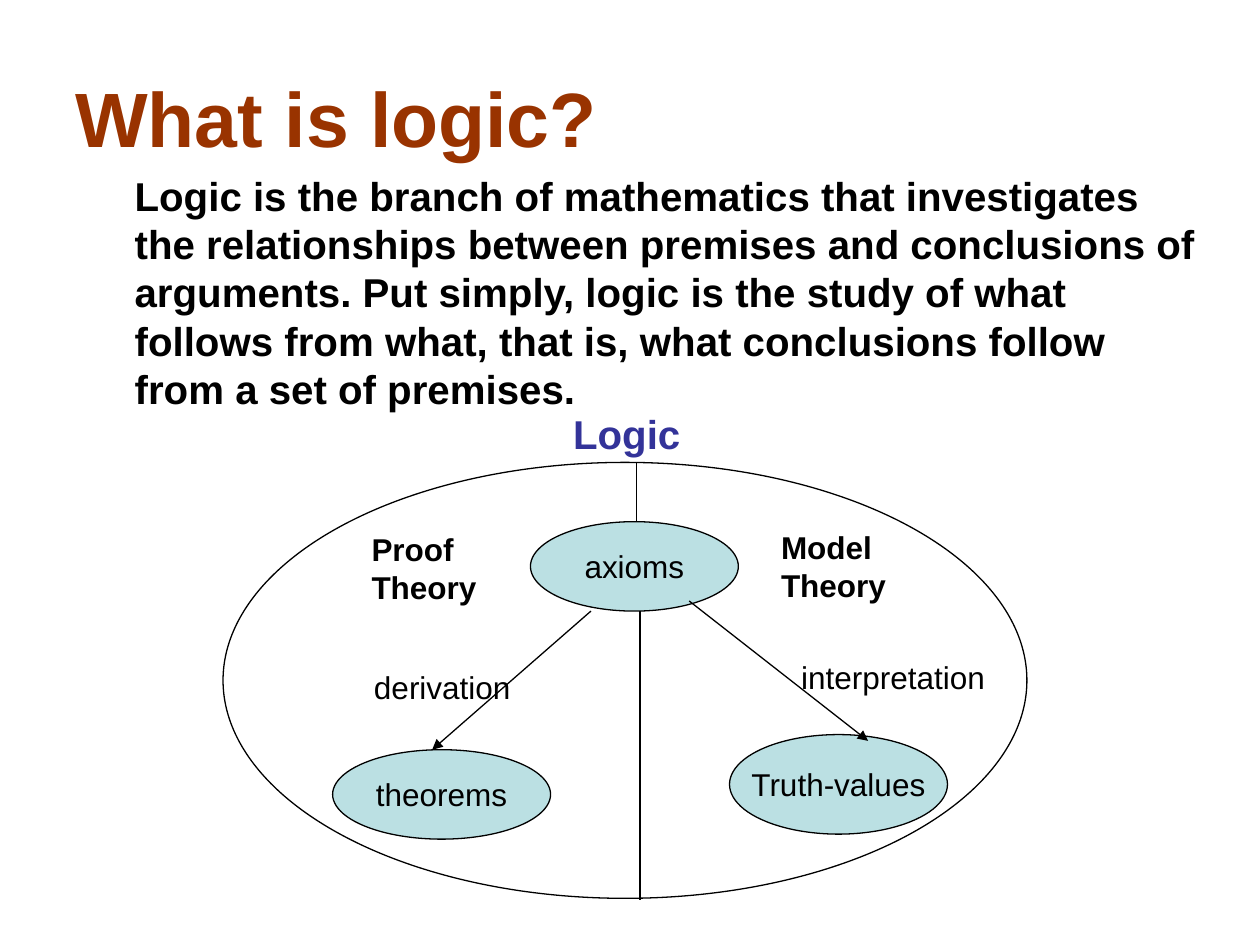
import dataclasses
import typing

import pptx
import pptx.dml.color
import pptx.enum.shapes
import pptx.enum.text
import pptx.oxml.ns
import pptx.util

Inches = pptx.util.Inches
Pt = pptx.util.Pt
Box = typing.Tuple[float, float, float, float]
Spot = typing.Tuple[float, float]

HUES = {
    "ink": "000000",
    "paper": "FFFFFF",
    "rust": "993300",
    "navy": "333399",
    "aqua": "BBE0E3",
}


@dataclasses.dataclass
class Oval:
    box: Box
    fill: str = "aqua"
    text: str = ""


@dataclasses.dataclass
class Label:
    box: Box
    text: str
    form: dict = dataclasses.field(default_factory=dict)


@dataclasses.dataclass
class Link:
    start: Spot
    end: Spot
    arrow: bool = False


def color(name: str) -> pptx.dml.color.RGBColor:
    return pptx.dml.color.RGBColor.from_string(HUES[name])


def write(shape, text: str, *, size: float = 18, hue: str = "ink",
          bold: bool = False, wrap: bool = False, grow: bool = False,
          center: bool = False, middle: bool = False,
          indent: float = 0, before: float = 0) -> None:
    frame = shape.text_frame
    frame.word_wrap = wrap
    fit = pptx.enum.text.MSO_AUTO_SIZE
    frame.auto_size = fit.SHAPE_TO_FIT_TEXT if grow else fit.NONE
    anchor = pptx.enum.text.MSO_ANCHOR
    frame.vertical_anchor = anchor.MIDDLE if middle else anchor.TOP
    frame.text = text
    align = pptx.enum.text.PP_ALIGN
    for para in frame.paragraphs:
        para.alignment = align.CENTER if center else align.LEFT
        para.space_before = Pt(before)
        if indent:
            para._p.get_or_add_pPr().set("marL", str(Inches(indent)))
        font = para.runs[0].font
        font.name = "Arial"
        font.size = Pt(size)
        font.bold = bold
        font.color.rgb = color(hue)


def trace(line) -> None:
    line.color.rgb = color("ink")
    line.width = Pt(0.75)


def attach(parent, tag: str, **attrs: str) -> None:
    parent.append(parent.makeelement(pptx.oxml.ns.qn(tag), attrs))


def draw_oval(slide, oval: Oval) -> None:
    kind = pptx.enum.shapes.MSO_SHAPE.OVAL
    shape = slide.shapes.add_shape(kind, *map(Inches, oval.box))
    shape.shadow.inherit = False
    shape.fill.solid()
    shape.fill.fore_color.rgb = color(oval.fill)
    trace(shape.line)
    if oval.text:
        write(shape, oval.text, center=True, middle=True)


def draw_label(slide, label: Label) -> None:
    shape = slide.shapes.add_textbox(*map(Inches, label.box))
    write(shape, label.text, **label.form)


def draw_link(slide, link: Link) -> None:
    kind = pptx.enum.shapes.MSO_CONNECTOR.STRAIGHT
    ends = map(Inches, link.start + link.end)
    shape = slide.shapes.add_connector(kind, *ends)
    trace(shape.line)
    props = shape._element.spPr
    if link.arrow:
        attach(props.ln, "a:tailEnd", type="triangle")
    attach(props, "a:effectLst")


BODY = (
    "Logic is the branch of mathematics that investigates the relationships "
    "between premises and conclusions of arguments. Put simply, logic is the "
    "study of what follows from what, that is, what conclusions follow from "
    "a set of premises."
)
OVALS = [
    Oval((1.77, 3.67, 6.38, 3.46), "paper"),
    Oval((4.21, 4.14, 1.65, 0.71), text="axioms"),
    Oval((2.64, 5.95, 1.73, 0.71), text="theorems"),
    Oval((5.79, 5.83, 1.73, 0.79), text="Truth-values"),
]
LINKS = [
    Link((4.69, 4.85), (3.43, 5.95), True),
    Link((5.47, 4.77), (6.89, 5.88), True),
    Link((5.05, 3.67), (5.05, 4.14)),
    Link((5.08, 4.85), (5.08, 7.14)),
]
TERM = dict(grow=True)
THEORY = dict(grow=True, bold=True)
LABELS = [
    Label((0.5, 0.3, 9, 1.25), "What is logic?",
          dict(size=44, hue="rust", bold=True, wrap=True, middle=True)),
    Label((0.59, 1.31, 9.08, 2.13), BODY,
          dict(size=23, bold=True, wrap=True, indent=0.38, before=5.8)),
    Label((4.45, 3.2, 1.05, 0.49), "Logic",
          dict(size=23, hue="navy", bold=True, grow=True)),
    Label((2.87, 5.25, 1.3, 0.4), "derivation", TERM),
    Label((6.26, 5.17, 1.67, 0.4), "interpretation", TERM),
    Label((2.85, 4.16, 1.05, 0.7), "Proof\nTheory", THEORY),
    Label((6.1, 4.14, 1.05, 0.7), "Model\nTheory", THEORY),
]


def main() -> None:
    deck = pptx.Presentation()
    deck.slide_width = Inches(10)
    deck.slide_height = Inches(7.5)
    slide = deck.slides.add_slide(deck.slide_layouts[6])
    for oval in OVALS:
        draw_oval(slide, oval)
    for link in LINKS:
        draw_link(slide, link)
    for label in LABELS:
        draw_label(slide, label)
    deck.save("out.pptx")


if __name__ == "__main__":
    main()
